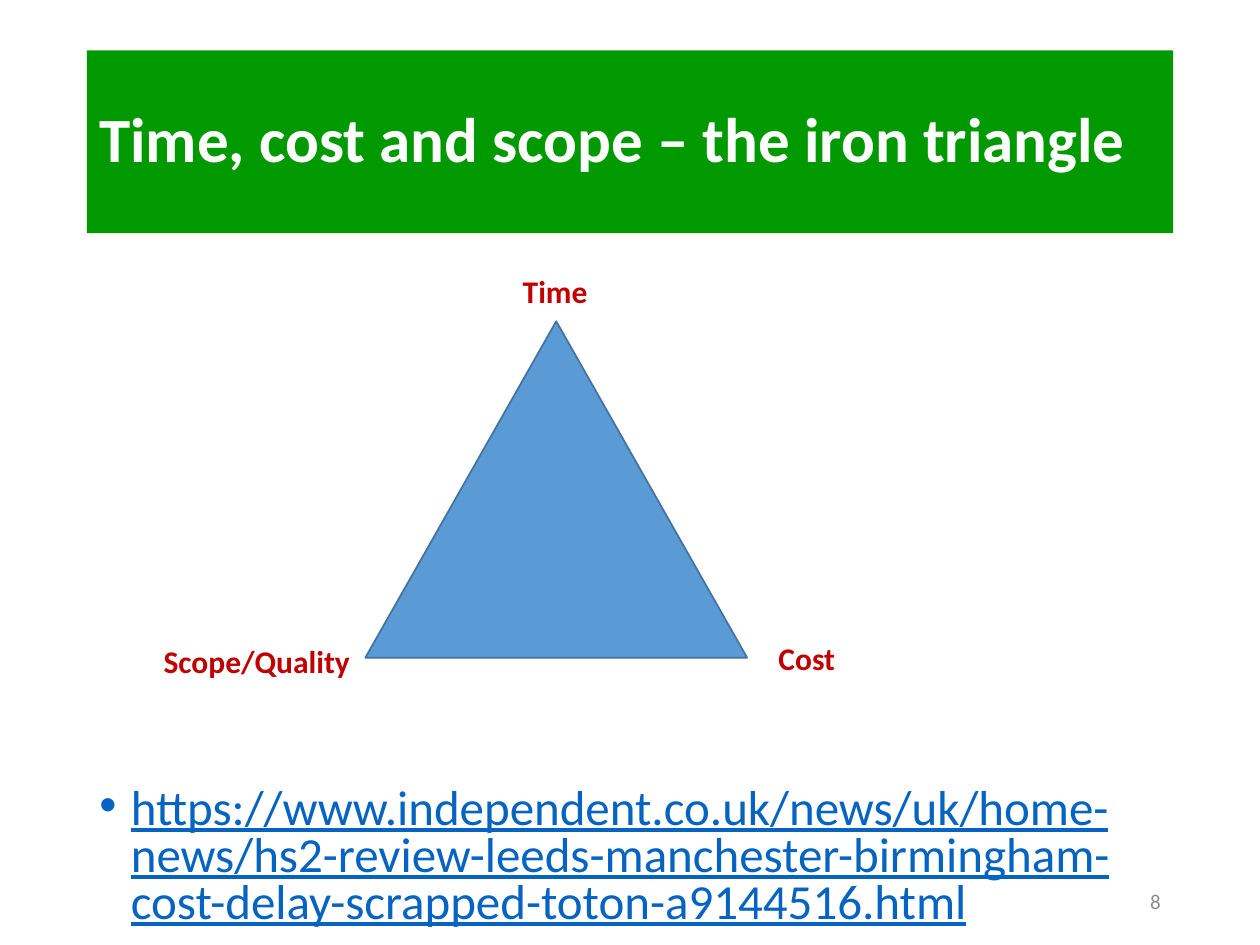
import pptx
import pptx.util
from lxml import etree
from pptx.dml.color import RGBColor
from pptx.enum.shapes import MSO_SHAPE
from pptx.enum.text import MSO_ANCHOR, PP_ALIGN
from pptx.oxml.ns import qn

Inches, Pt = pptx.util.Inches, pptx.util.Pt

GREEN = RGBColor(0x00, 0x99, 0x00)
WHITE = RGBColor(0xFF, 0xFF, 0xFF)
GREY = RGBColor(0x8C, 0x8C, 0x8C)
BLUE = RGBColor(0x5B, 0x9B, 0xD5)
DARK_BLUE = RGBColor(0x43, 0x73, 0x9E)
LINK_BLUE = RGBColor(0x05, 0x63, 0xC1)
RED = RGBColor(0xC0, 0x00, 0x00)

TITLE = "Time, cost and scope – the iron triangle"
ARTICLE = ("https://www.independent.co.uk/news/uk/home-news/"
           "hs2-review-leeds-manchester-birmingham-cost-delay-scrapped-toton-a9144516.html")
PAGE_NUMBER = "8"
CORNERS = [  # label, left, top, width
    ("Scope/Quality", 1.2, 5.05, 1.69),
    ("Cost", 6.08, 5.02, 0.72),
    ("Time", 4.05, 2.11, 0.72),
]

MARGIN, CONTENT_WIDTH = 0.69, 8.62
LABEL_HEIGHT = 0.4

TITLE_FONT = {"size": Pt(36), "bold": True}
LABEL_FONT = {"size": Pt(18), "bold": True}
LINK_FONT = {"size": Pt(28), "underline": True}
NUMBER_FONT = {"size": Pt(12)}


def add_shape(page, kind, place, fill):
    shape = page.shapes.add_shape(kind, *map(Inches, place))
    shape.shadow.inherit = False
    shape.fill.solid()
    shape.fill.fore_color.rgb = fill
    shape.line.fill.background()
    return shape


def write(box, text, font, color, wrap=True, anchor=MSO_ANCHOR.TOP, align=PP_ALIGN.LEFT):
    """Put one formatted paragraph in the box and return it."""
    box.text_frame.word_wrap = wrap
    box.text_frame.vertical_anchor = anchor
    para = box.text_frame.paragraphs[0]
    para.alignment = align
    span = para.add_run()
    span.text = text
    for name, value in {"name": "Calibri", **font}.items():
        setattr(span.font, name, value)
    span.font.color.rgb = color
    return para


def add_text(page, place, *content, **layout):
    box = page.shapes.add_textbox(*map(Inches, place))
    return write(box, *content, **layout)


def add_bullet(para, color, indent):
    properties = para._p.get_or_add_pPr()
    properties.set("marL", str(Inches(indent)))
    properties.set("indent", str(-Inches(indent)))
    bullet_color = etree.SubElement(properties, qn("a:buClr"))
    etree.SubElement(bullet_color, qn("a:srgbClr"), val=str(color))
    etree.SubElement(properties, qn("a:buFont"), typeface="Arial")
    etree.SubElement(properties, qn("a:buChar"), char="•")


def main():
    deck = pptx.Presentation()
    deck.slide_width, deck.slide_height = Inches(10), Inches(7.5)
    page = deck.slides.add_slide(deck.slide_layouts[6])

    banner = add_shape(page, MSO_SHAPE.RECTANGLE, (MARGIN, 0.4, CONTENT_WIDTH, 1.45), GREEN)
    heading = write(banner, TITLE, TITLE_FONT, WHITE, anchor=MSO_ANCHOR.MIDDLE)
    heading.line_spacing = 0.9

    add_text(page, (7.06, 6.95, 2.25, 0.4), PAGE_NUMBER, NUMBER_FONT, GREY,
             anchor=MSO_ANCHOR.MIDDLE, align=PP_ALIGN.RIGHT)

    article = add_text(page, (MARGIN, 6.2, CONTENT_WIDTH, 1.15), ARTICLE, LINK_FONT, LINK_BLUE)
    article.line_spacing = 0.8
    add_bullet(article, LINK_BLUE, 0.25)

    triangle = add_shape(page, MSO_SHAPE.ISOSCELES_TRIANGLE, (2.9, 2.55, 3.03, 2.67), BLUE)
    triangle.line.color.rgb = DARK_BLUE
    triangle.line.width = Pt(1)

    for label, left, top, width in CORNERS:
        add_text(page, (left, top, width, LABEL_HEIGHT), label, LABEL_FONT, RED, wrap=False)

    deck.save("out.pptx")


if __name__ == "__main__":
    main()
